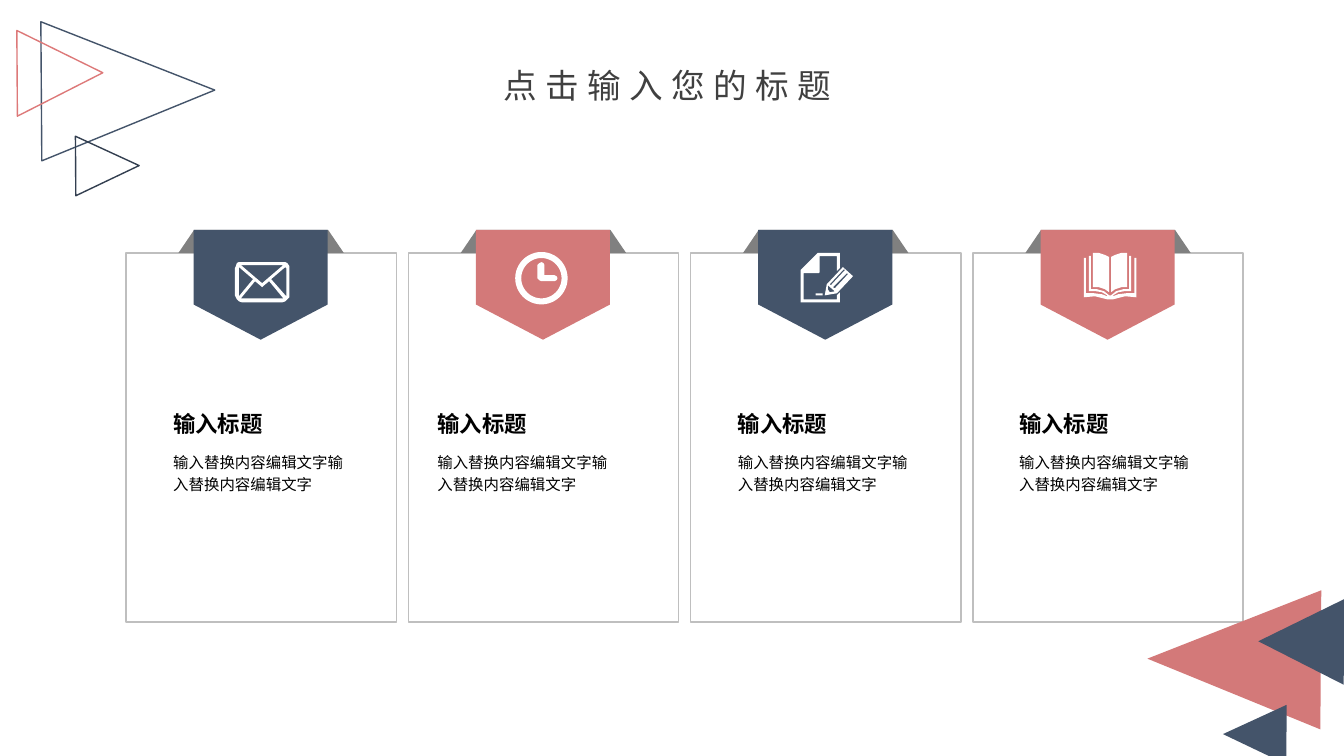
import math

import lxml.etree
import pptx
import pptx.dml.color
import pptx.enum.shapes
import pptx.enum.text
import pptx.oxml.ns
import pptx.util

Inches = pptx.util.Inches
SHAPE = pptx.enum.shapes.MSO_SHAPE
FONT = "Noto Sans CJK SC"
COLORS = {
    "navy": "44546A", "dark navy": "333F50", "rose": "D37979", "bright rose": "DD7979",
    "fold": "808080", "border": "BFBFBF", "white": "FFFFFF", "black": "000000", "title": "404040",
}

deck = pptx.Presentation()
deck.slide_width, deck.slide_height = Inches(13.33), Inches(7.5)
page = deck.slides.add_slide(deck.slide_layouts[6])


def paint(shape, fill=None, line=None):
    shape.shadow.inherit = False
    for target, color in ((shape.fill, fill), (shape.line.fill, line)):
        if color:
            target.solid()
            target.fore_color.rgb = pptx.dml.color.RGBColor.from_string(COLORS[color])
        else:
            target.background()
    if line:
        shape.line.width = pptx.util.Pt(1)


def add_text(frame_box, text, size, color, bold=False):
    box = page.shapes.add_textbox(*map(Inches, frame_box))
    box.text_frame.word_wrap = True
    box.text_frame.auto_size = pptx.enum.text.MSO_AUTO_SIZE.SHAPE_TO_FIT_TEXT
    para = box.text_frame.paragraphs[0]
    span = para.add_run()
    span.text = text
    span.font.name, span.font.size, span.font.bold = FONT, pptx.util.Pt(size), bold
    span.font.color.rgb = pptx.dml.color.RGBColor.from_string(COLORS[color])
    properties = span._r.get_or_add_rPr()
    lxml.etree.SubElement(properties, pptx.oxml.ns.qn("a:ea")).set("typeface", FONT)
    return box, para, properties


# Icon outlines: inner contours are holes
envelope = [
    [(2.8, 2.6), (2.4, 2.6), (2.37, 2.6), (2.35, 2.61), (2.34, 2.64), (2.33, 2.66),
     (2.33, 2.93), (2.34, 2.95), (2.35, 2.97), (2.37, 2.99), (2.4, 3), (2.8, 3),
     (2.83, 2.99), (2.85, 2.97), (2.87, 2.95), (2.87, 2.66), (2.87, 2.64), (2.85, 2.61),
     (2.83, 2.6)],
    [(2.69, 2.77), (2.83, 2.65), (2.84, 2.66), (2.84, 2.94)],
    [(2.8, 2.63), (2.81, 2.63), (2.6, 2.81), (2.39, 2.63)],
    [(2.37, 2.94), (2.37, 2.65), (2.51, 2.77)],
    [(2.4, 2.96), (2.39, 2.96), (2.53, 2.79), (2.59, 2.84), (2.6, 2.85), (2.61, 2.84),
     (2.67, 2.79), (2.81, 2.96)],
]

clock = [
    [(5.37 + radius * math.cos(step * math.pi / 24), 2.76 + radius * math.sin(step * math.pi / 24))
     for step in range(48)]
    for radius in (0.26, 0.2)
]
clock.append([
    (5.53, 2.76), (5.52, 2.78), (5.5, 2.79), (5.37, 2.79), (5.35, 2.78), (5.33, 2.76),
    (5.33, 2.63), (5.35, 2.61), (5.37, 2.6), (5.39, 2.61), (5.4, 2.63), (5.4, 2.73),
    (5.5, 2.73), (5.52, 2.74)])

note = [
    [(8.09, 2.91), (8.16, 2.91), (8.16, 2.93), (8.09, 2.93)],
    [(8.3, 2.91), (8.18, 2.93), (8.2, 2.82), (8.36, 2.65), (8.46, 2.74)],
    [(8.28, 2.86), (8.41, 2.72), (8.4, 2.71), (8.26, 2.85)],
    [(8.28, 2.89), (8.23, 2.9), (8.21, 2.87), (8.21, 2.83)],
    [(8.24, 2.83), (8.38, 2.68), (8.37, 2.67), (8.23, 2.82)],
    [(7.94, 3), (8.33, 3), (8.33, 2.9), (8.3, 2.93), (8.3, 2.97), (7.97, 2.97), (7.97, 2.71),
     (8.12, 2.71), (8.13, 2.7), (8.13, 2.54), (8.3, 2.54), (8.3, 2.69), (8.33, 2.66),
     (8.33, 2.51), (8.11, 2.51), (7.94, 2.68)],
]

left_leaf = [(11, 2.9), (10.96, 2.87), (10.9, 2.85), (10.84, 2.85), (10.84, 2.51),
             (10.9, 2.51), (10.96, 2.53), (11, 2.55)]
left_cover = [
    (10.98, 2.97), (10.94, 2.96), (10.86, 2.94), (10.75, 2.95), (10.75, 2.56), (10.77, 2.56),
    (10.77, 2.91), (10.85, 2.91), (10.93, 2.92), (10.98, 2.94), (10.98, 2.93), (10.93, 2.9),
    (10.87, 2.89), (10.8, 2.89), (10.8, 2.54), (10.82, 2.54), (10.82, 2.87), (10.88, 2.87),
    (10.95, 2.89), (11, 2.93)]
right_leaf, right_cover = (
    [(22.02 - x, y) for x, y in half] for half in (left_leaf, left_cover))
book = [left_leaf, left_cover + right_cover[::-1], right_leaf]

# Cards: frame, folded ribbon, icon, heading and body
cards = [("navy", envelope, 1.62), ("rose", clock, 4.24), ("navy", note, 7.22), ("rose", book, 10.01)]
for index, (color, icon, text_left) in enumerate(cards):
    left = 1.25 + 2.8 * index
    frame = page.shapes.add_shape(
        SHAPE.RECTANGLE, Inches(left), Inches(2.51), Inches(2.68), Inches(3.66))
    paint(frame, line="border")

    fold = page.shapes.add_shape(
        SHAPE.TRAPEZOID, Inches(left + 0.52), Inches(2.28), Inches(1.64), Inches(0.23))
    fold.adjustments[0] = 0.68
    paint(fold, fill="fold")

    ribbon = page.shapes.add_shape(
        SHAPE.PENTAGON, Inches(left + 0.79), Inches(2.16), Inches(1.09), Inches(1.33))
    ribbon.adjustments[0] = 0.32
    ribbon.rotation = 90
    paint(ribbon, fill=color)

    builder = None
    for contour in icon:
        points = [(Inches(x), Inches(y)) for x, y in contour]
        if builder is None:
            builder = page.shapes.build_freeform(*points[0])
        else:
            builder.move_to(*points[0])
        builder.add_line_segments(points[1:], close=True)
    paint(builder.convert_to_shape(), fill="white")

    body, para, properties = add_text(
        (text_left, 4.41, 1.96, 0.52), "输入替换内容编辑文字输入替换内容编辑文字", 11, "black")
    para.line_spacing = 1.2
    add_text((text_left, 4.02, 1.75, 0.37), "输入标题", 16, "black", bold=True)

# Corner triangles: left, top, width, height, rotation, fill, line
triangles = [
    (11.55, 5.68, 1.38, 1.72, 270.4, "rose", None),
    (12.15, 6.97, 0.59, 0.63, 270.4, "navy", None),
    (12.48, 5.94, 0.85, 0.85, 270.4, "navy", None),
    (0.58, 0.04, 1.38, 1.72, 89.6, None, "navy"),
    (0.77, 1.33, 0.59, 0.63, 89.6, None, "dark navy"),
    (0.17, 0.3, 0.85, 0.85, 89.6, None, "bright rose"),
]
for *place, rotation, fill, line in triangles:
    triangle = page.shapes.add_shape(SHAPE.ISOSCELES_TRIANGLE, *map(Inches, place))
    triangle.rotation = rotation
    paint(triangle, fill, line)

# Title with wide letter spacing
title, para, properties = add_text((4.57, 0.64, 4.09, 0.4), "点击输入您的标题", 24, "title")
frame = title.text_frame
frame.margin_left = frame.margin_right = frame.margin_top = frame.margin_bottom = 0
frame.vertical_anchor = pptx.enum.text.MSO_ANCHOR.MIDDLE
para.alignment = pptx.enum.text.PP_ALIGN.CENTER
properties.set("spc", "600")

deck.save("out.pptx")
